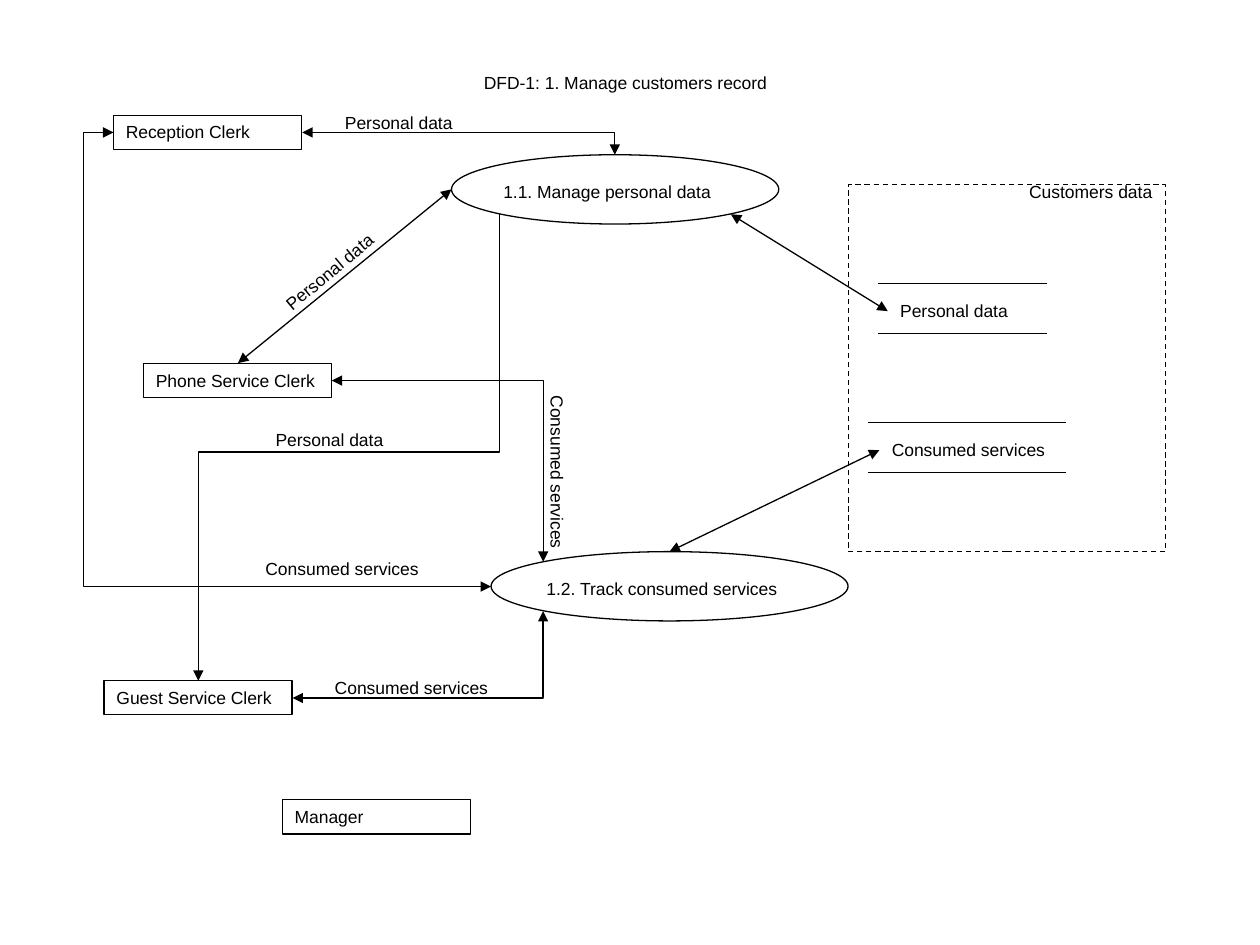
from dataclasses import dataclass

from pptx import Presentation
from pptx.dml.color import RGBColor
from pptx.enum import dml, shapes, text
from pptx.oxml import ns, xmlchemy
from pptx.util import Pt


@dataclass(frozen=True)
class Theme:
    """Colours, type and line sizes of the diagram."""
    ink: RGBColor = RGBColor(0, 0, 0)
    font: str = "Arial"
    size: float = 10
    line: float = 0.75
    row: float = 19.5
    inset_x: float = 7.2
    inset_y: float = 3.6


THEME = Theme()


def write(holder, wording, right_inset=THEME.inset_x):
    """Put left-aligned diagram text into a shape."""
    frame = holder.text_frame
    frame.text = wording
    frame.word_wrap = True
    frame.auto_size = text.MSO_AUTO_SIZE.SHAPE_TO_FIT_TEXT
    frame.vertical_anchor = text.MSO_ANCHOR.TOP
    frame.margin_left, frame.margin_right = Pt(THEME.inset_x), Pt(right_inset)
    frame.margin_top = frame.margin_bottom = Pt(THEME.inset_y)
    paragraph = frame.paragraphs[0]
    paragraph.alignment = text.PP_ALIGN.LEFT
    font = paragraph.runs[0].font
    font.name, font.size = THEME.font, Pt(THEME.size)
    font.color.rgb = THEME.ink


def title(slide, wording, left, top, width):
    """Place and fill the title placeholder."""
    holder = slide.shapes.title
    holder.left, holder.top = Pt(left), Pt(top)
    holder.width, holder.height = Pt(width), Pt(THEME.row)
    write(holder, wording)


def label(slide, wording, left, top, width, rotation=0):
    """Add one line of text with room to spare on its right."""
    caption = slide.shapes.add_textbox(Pt(left), Pt(top), Pt(width), Pt(THEME.row))
    write(caption, wording, right_inset=0)
    caption.rotation = rotation


def outline(slide, kind, left, top, width, height):
    """Add an unfilled outlined shape."""
    border = slide.shapes.add_shape(kind, Pt(left), Pt(top), Pt(width), Pt(height))
    border.shadow.inherit = False
    border.fill.background()
    border.line.color.rgb = THEME.ink
    border.line.width = Pt(THEME.line)
    return border


def entity(slide, wording, left, top):
    """Add an external entity box."""
    box = outline(slide, shapes.MSO_SHAPE.RECTANGLE, left, top, 107.5, THEME.row)
    write(box, wording)


def process(slide, wording, left, top, width, text_left, text_width):
    """Add a process ellipse with its caption."""
    outline(slide, shapes.MSO_SHAPE.OVAL, left, top, width, 39.6)
    label(slide, wording, text_left, top + 11.6, text_width)


def link(slide, begin, end, ends=(), kind=shapes.MSO_CONNECTOR.STRAIGHT):
    """Add a connector with arrowheads at the named ends."""
    flow = slide.shapes.add_connector(kind, *map(Pt, (*begin, *end)))
    flow.line.color.rgb = THEME.ink
    flow.line.width = Pt(THEME.line)
    for end_name in ends:
        arrow = xmlchemy.OxmlElement(f"a:{end_name}")
        arrow.set("type", "triangle")
        flow.get_or_add_ln().append(arrow)
    flow.element.spPr.append(xmlchemy.OxmlElement("a:effectLst"))
    return flow


def elbow(slide, begin, end, ends, turn=0, bend=None):
    """Add a bent connector turned by quarter turns, with three legs if bend is given."""
    mid_x, mid_y = (begin[0] + end[0]) / 2, (begin[1] + end[1]) / 2

    def unturned(point):
        x, y = point[0] - mid_x, point[1] - mid_y
        for _ in range(turn):
            x, y = y, -x
        return mid_x + x, mid_y + y

    flow = link(slide, unturned(begin), unturned(end), ends, shapes.MSO_CONNECTOR.ELBOW)
    properties = flow.element.spPr
    properties.find(ns.qn("a:xfrm")).set("rot", str(turn * 90 * 60000))
    geometry = properties.find(ns.qn("a:prstGeom"))
    if bend is None:
        geometry.set("prst", "bentConnector2")
    else:
        guide = xmlchemy.OxmlElement("a:gd")
        guide.set("name", "adj1")
        guide.set("fmla", f"val {round(bend * 100000)}")
        geometry.find(ns.qn("a:avLst")).append(guide)


def store(slide, wording, left, top, width, text_left):
    """Add a data store: a caption between two rules."""
    right = left + width
    for y in (top, top + 28.5):
        link(slide, (left, y), (right, y))
    label(slide, wording, text_left, top + 5.8, right - text_left)


def main():
    """Build the data flow diagram."""
    deck = Presentation()
    deck.slide_width, deck.slide_height = Pt(720), Pt(540)
    slide = deck.slides.add_slide(deck.slide_layouts[5])
    title(slide, "DFD-1: 1. Manage customers record", 269.3, 37.5, 181.4)

    frame = outline(slide, shapes.MSO_SHAPE.RECTANGLE, 484.7, 105.6, 181.4, 209.6)
    frame.line.dash_style = dml.MSO_LINE.DASH
    label(slide, "Customers data", 581, 100, 96.4)

    for name, left, top in (
        ("Reception Clerk", 64.8, 65.9),
        ("Phone Service Clerk", 82, 207.7),
        ("Guest Service Clerk", 59.5, 389),
        ("Manager", 161.3, 457.1),
    ):
        entity(slide, name, left, top)

    process(slide, "1.1. Manage personal data", 258, 88.4, 187, 280.5, 142)
    process(slide, "1.2. Track consumed services", 280.6, 315.2, 204, 305.2, 155)
    store(slide, "Personal data", 501.8, 162.2, 96.4, 507.3)
    store(slide, "Consumed services", 496, 241.6, 113.4, 502.5)

    both = ("headEnd", "tailEnd")
    for begin, end in (
        ((136, 207.5), (258, 108.2)),
        ((382.6, 315.2), (502.5, 257.2)),
        ((417.6, 122.4), (507.3, 177.8)),
    ):
        link(slide, begin, end, both)

    elbow(slide, (172.7, 75.7), (351.4, 88.4), both)
    elbow(slide, (310.4, 321), (189.6, 217.5), both, turn=3)
    elbow(slide, (280.6, 335.2), (64.8, 75.7), both, turn=2, bend=1.08)
    elbow(slide, (167.2, 398.9), (310.4, 349.2), both)
    elbow(slide, (285.4, 122.4), (113.3, 389), ("tailEnd",), turn=1, bend=0.51)

    personal, consumed = ("Personal data", 75.6), ("Consumed services", 101.5)
    for (wording, width), left, top, rotation in (
        (personal, 190, 60.6, 0),
        (personal, 150.4, 145.6, 320.2),
        (personal, 150.4, 241.8, 0),
        (consumed, 267.6, 260, 90),
        (consumed, 144.6, 315.5, 0),
        (consumed, 184.2, 383.4, 0),
    ):
        label(slide, wording, left, top, width, rotation)

    deck.save("out.pptx")


if __name__ == "__main__":
    main()
